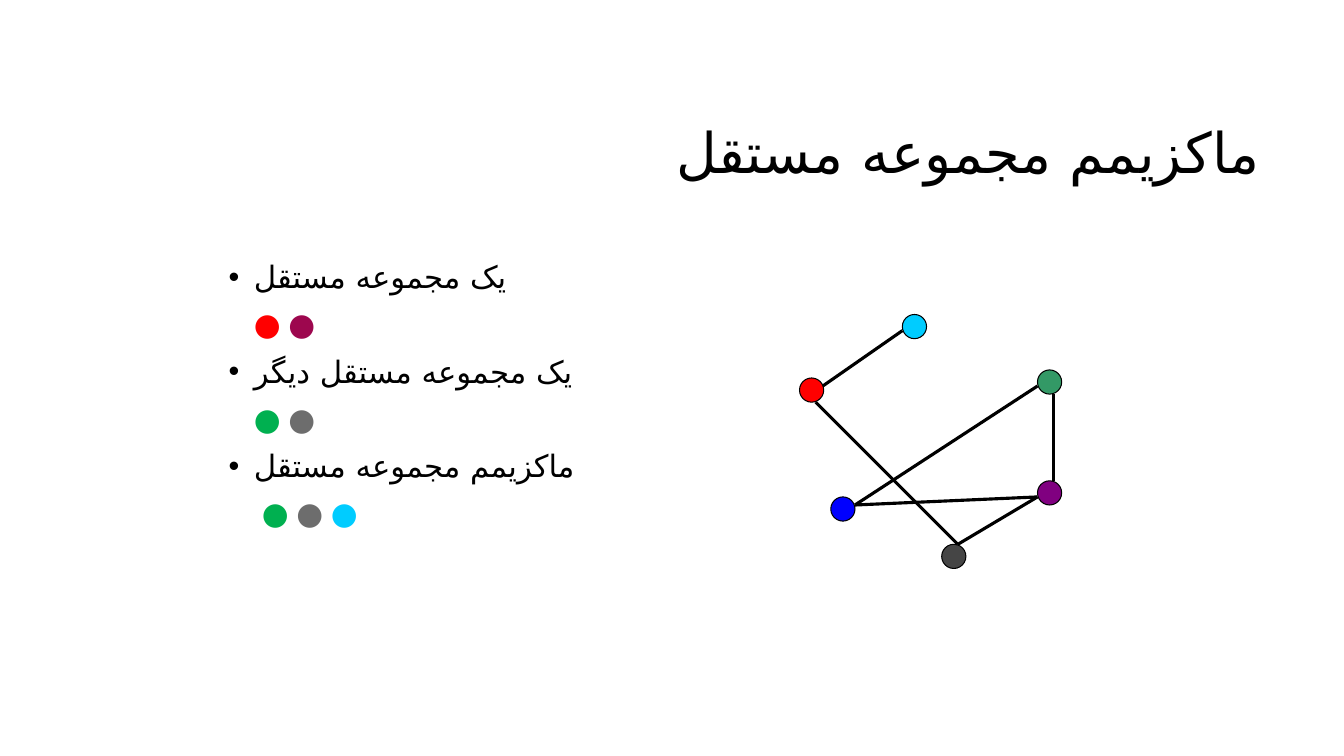
from dataclasses import dataclass

from lxml import etree
from pptx import Presentation
from pptx import util as u
from pptx.dml.color import RGBColor
from pptx.enum import shapes, text
from pptx.oxml import ns

PX = 9144
NODE_SIZE = 24
FONT = "League Spartan"
ARABIC_FONT = "DejaVu Sans"
BLACK = "000000"


@dataclass(frozen=True)
class Node:
    left: int
    top: int
    color: str


@dataclass(frozen=True)
class Edge:
    x1: int
    y1: int
    x2: int
    y2: int


@dataclass(frozen=True)
class IndependentSet:
    label: str
    dots: tuple[str, ...]
    indent: int = 25


NODES = (
    Node(895, 312, "00CCFF"),
    Node(793, 375, "FF0000"),
    Node(1029, 367, "339966"),
    Node(824, 493, "0000FF"),
    Node(934, 540, "454545"),
    Node(1029, 477, "800080"),
)
EDGES = (
    Edge(895, 328, 816, 383),
    Edge(1045, 391, 1045, 477),
    Edge(1029, 383, 848, 501),
    Edge(1029, 493, 848, 501),
    Edge(809, 399, 950, 540),
    Edge(1029, 493, 950, 540),
)
SETS = (
    IndependentSet("یک مجموعه مستقل", ("FF0000", "9D074E")),
    IndependentSet("یک مجموعه مستقل دیگر", ("00B050", "6D6D6D")),
    IndependentSet("ماکزیمم مجموعه مستقل", ("00B050", "6D6D6D", "00CCFF"), 33),
)


def px(length: int) -> u.Emu:
    """Turn px into EMU."""
    return u.Emu(length * PX)


def rgb(color: str) -> RGBColor:
    """Turn a hex string into a colour."""
    return RGBColor.from_string(color)


def add_frame(slide, left: int, top: int, width: int, height: int):
    """Add a wrapping text box and return its text frame."""
    frame = slide.shapes.add_textbox(px(left), px(top), px(width), px(height)).text_frame
    frame.word_wrap = True
    return frame


def add_run(paragraph, words: str, size: int, color: str) -> None:
    """Add one run with its Latin and Arabic fonts."""
    run = paragraph.add_run()
    run.text = words
    run.font.size = u.Pt(size)
    run.font.name = FONT
    run.font.color.rgb = rgb(color)
    etree.SubElement(run.font._element, ns.qn("a:cs"), typeface=ARABIC_FONT)


def format_line(paragraph, margin: int, bullet: bool) -> None:
    """Set the spacing, indent and bullet of a list line."""
    paragraph.line_spacing = 0.9
    paragraph.space_before = u.Pt(10)
    properties = paragraph._p.get_or_add_pPr()
    properties.set("marL", str(px(margin)))
    properties.set("indent", str(px(-margin if bullet else 0)))
    if bullet:
        etree.SubElement(properties, ns.qn("a:buFont"), typeface="Arial")
        etree.SubElement(properties, ns.qn("a:buChar"), char="•")
    else:
        etree.SubElement(properties, ns.qn("a:buNone"))


def add_title(slide) -> None:
    """Add the right-aligned title."""
    frame = add_frame(slide, 317, 84, 942, 141)
    frame.vertical_anchor = text.MSO_ANCHOR.MIDDLE
    title = frame.paragraphs[0]
    title.alignment = text.PP_ALIGN.RIGHT
    title.line_spacing = 0.9
    add_run(title, "ماکزیمم مجموعه مستقل", 40, BLACK)


def add_sets(slide, sets: tuple[IndependentSet, ...]) -> None:
    """List each set's label with its coloured dots below."""
    frame = add_frame(slide, 217, 255, 466, 523)
    for index, item in enumerate(sets):
        label = frame.add_paragraph() if index else frame.paragraphs[0]
        format_line(label, 25, True)
        add_run(label, item.label, 22, BLACK)
        dots = frame.add_paragraph()
        format_line(dots, item.indent, False)
        for position, color in enumerate(item.dots, 1):
            add_run(dots, "●" if position == len(item.dots) else "● ", 22, color)


def add_node(graph, node: Node) -> None:
    """Draw one vertex of the graph."""
    vertex = graph.shapes.add_shape(
        shapes.MSO_SHAPE.OVAL, px(node.left), px(node.top), px(NODE_SIZE), px(NODE_SIZE))
    vertex.shadow.inherit = False
    vertex.fill.solid()
    vertex.fill.fore_color.rgb = rgb(node.color)
    vertex.line.color.rgb = rgb(BLACK)
    vertex.line.width = u.Pt(0.75)


def add_edge(graph, edge: Edge) -> None:
    """Draw one edge of the graph."""
    link = graph.shapes.add_connector(
        shapes.MSO_CONNECTOR.STRAIGHT, px(edge.x1), px(edge.y1), px(edge.x2), px(edge.y2))
    link.line.color.rgb = rgb(BLACK)
    link.line.width = u.Pt(2.25)
    etree.SubElement(link._element.spPr, ns.qn("a:effectLst"))


def main() -> None:
    """Build and save the slide."""
    deck = Presentation()
    deck.slide_width, deck.slide_height = px(1333), px(750)
    slide = deck.slides.add_slide(deck.slide_layouts[6])
    add_title(slide)
    add_sets(slide, SETS)
    graph = slide.shapes.add_group_shape()
    for node in NODES:
        add_node(graph, node)
    for edge in EDGES:
        add_edge(graph, edge)
    deck.save("out.pptx")


if __name__ == "__main__":
    main()
